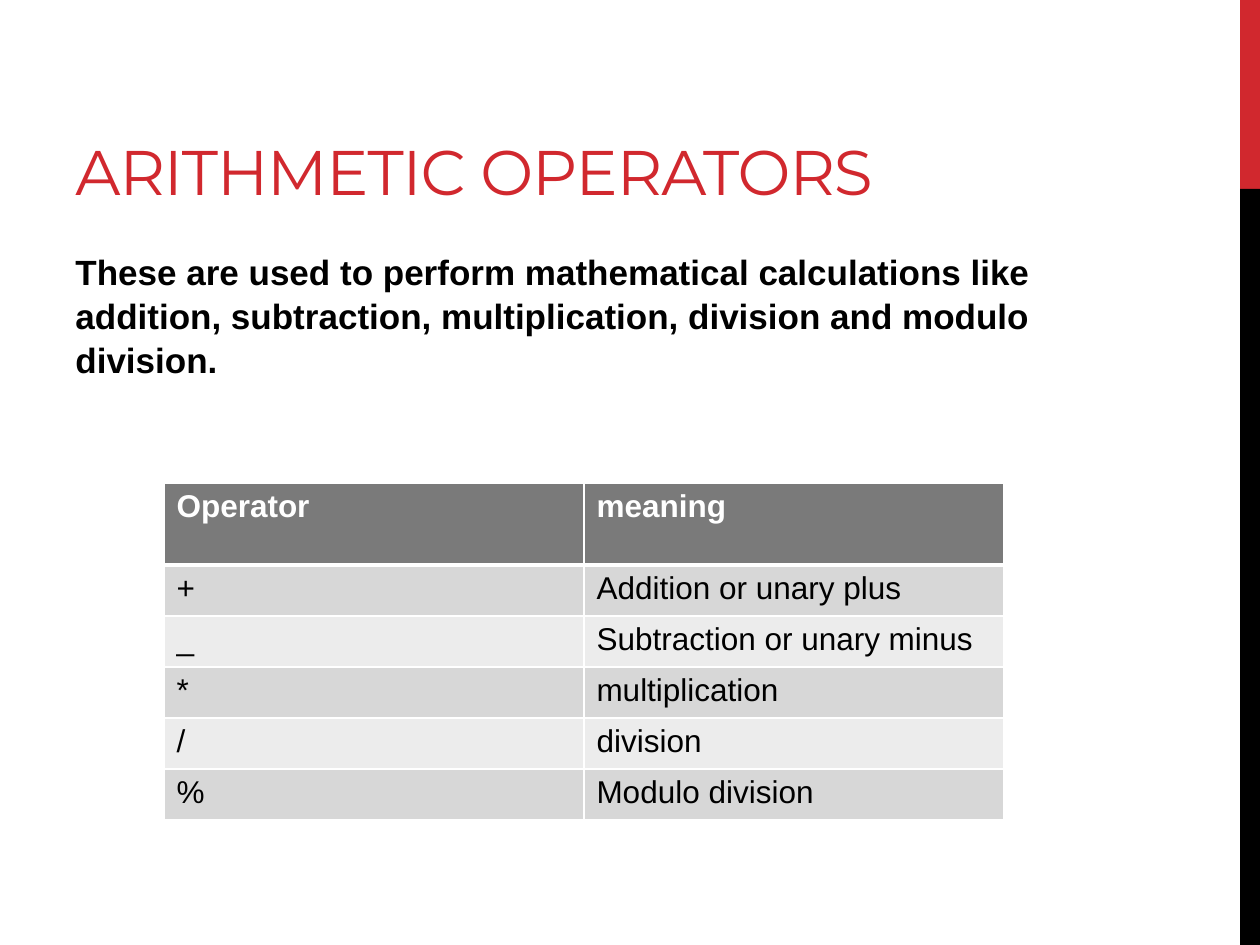
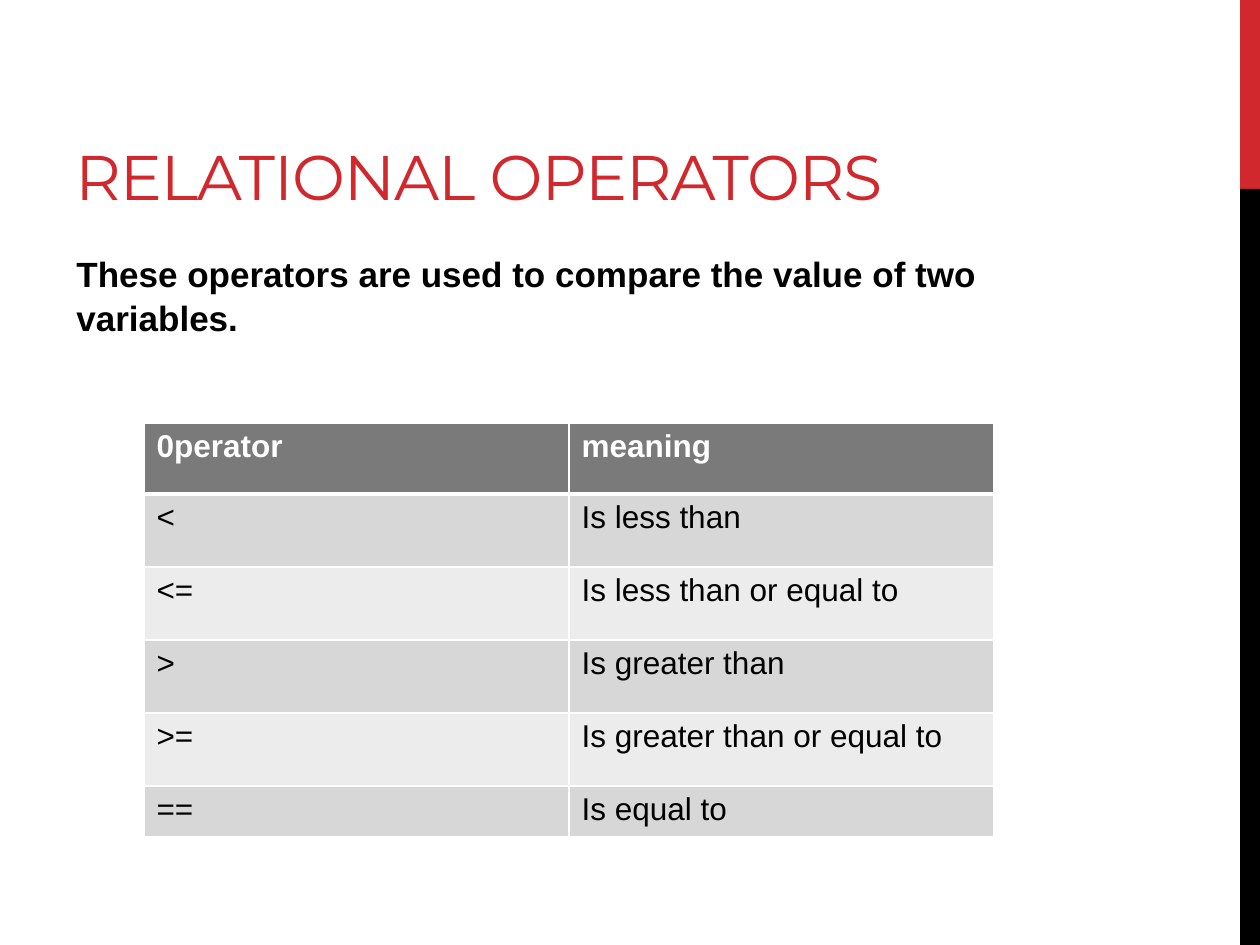
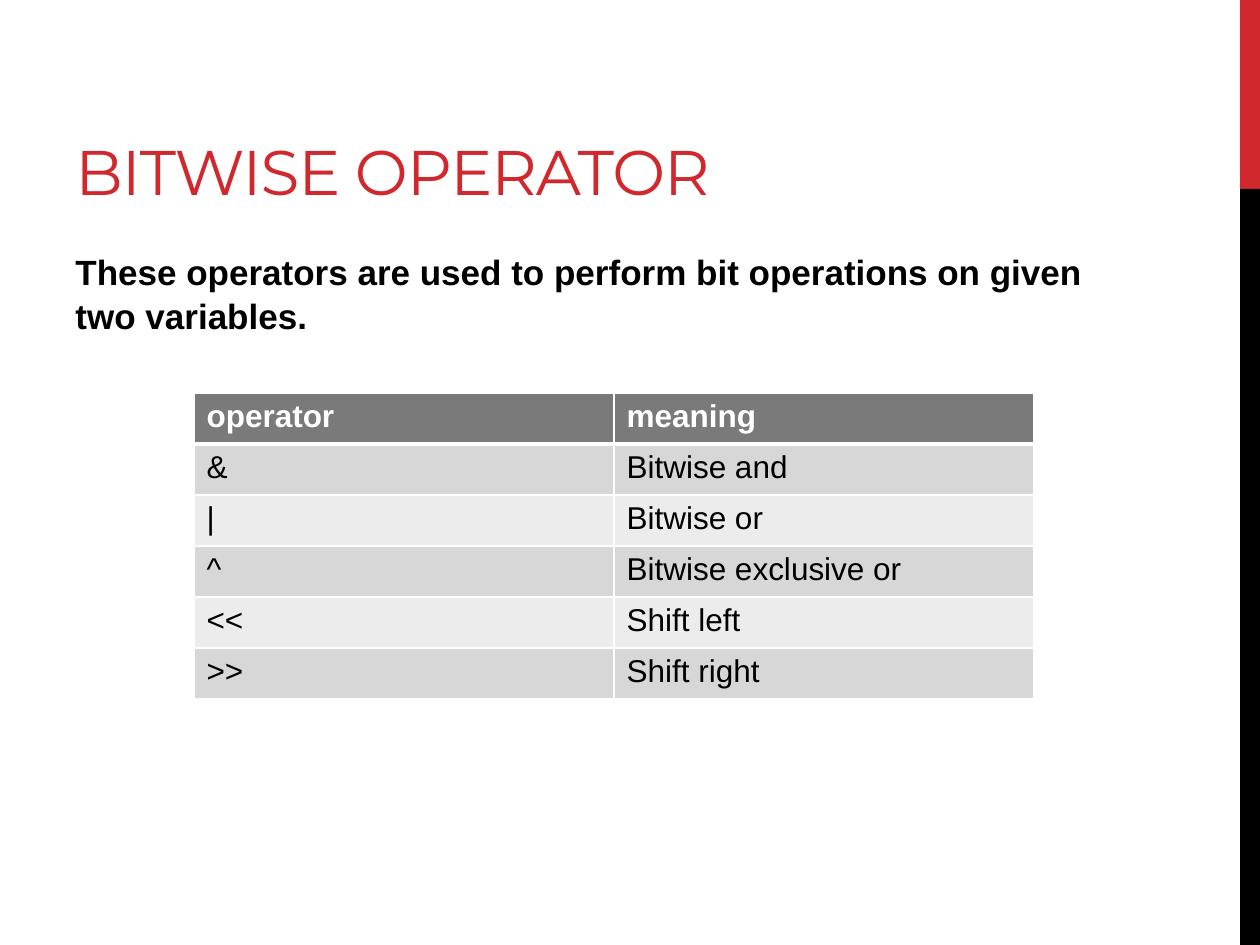
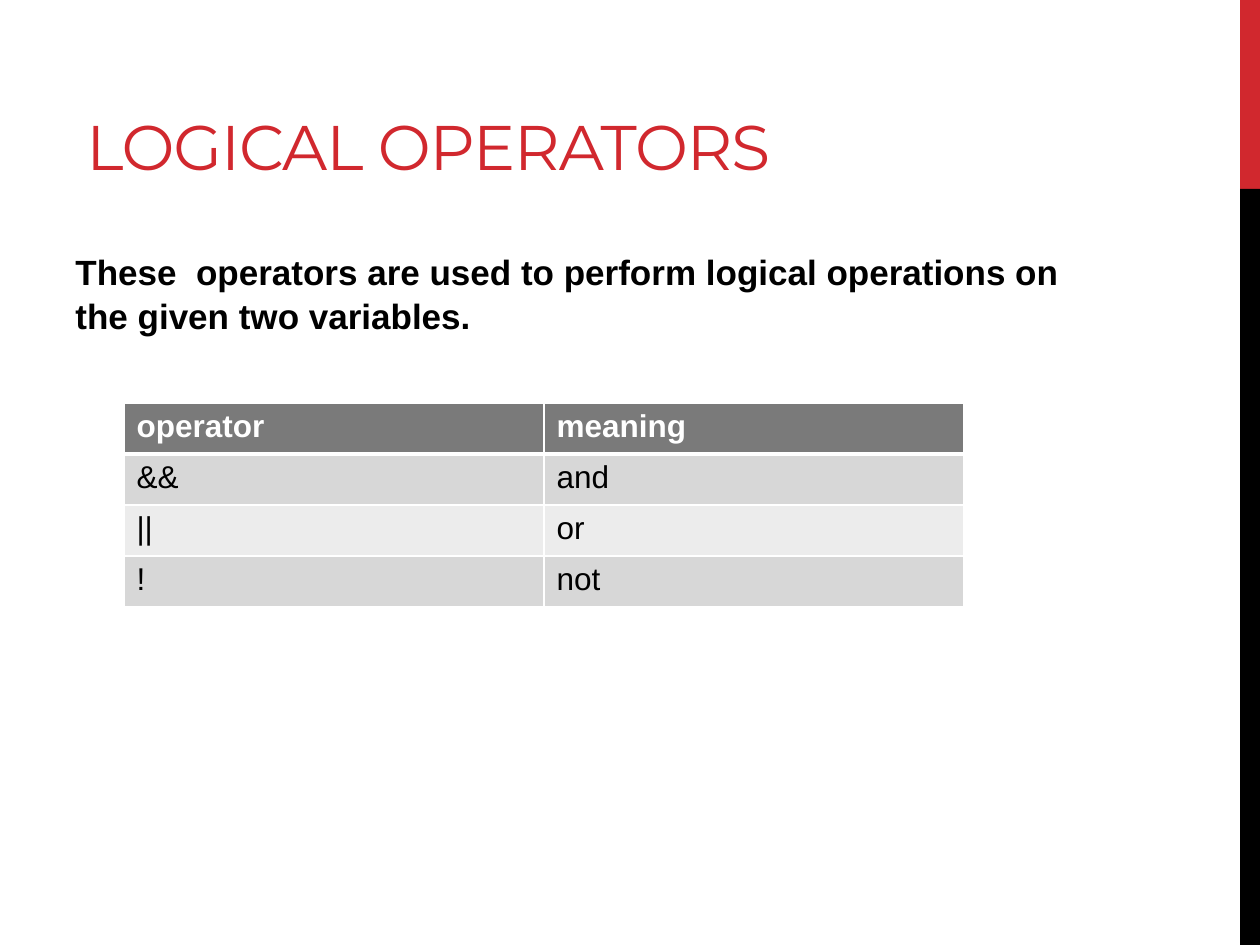
from pptx import Presentation
from pptx import util as u
from pptx.dml.color import RGBColor
from pptx.enum import shapes, text
from pptx.oxml import parse_xml
from pptx.oxml.ns import nsdecls

RED = RGBColor(0xD1, 0x28, 0x2E)
BLACK = RGBColor(0x00, 0x00, 0x00)
WHITE = RGBColor(0xFF, 0xFF, 0xFF)
HEADER_GRAY = RGBColor(0x7A, 0x7A, 0x7A)
ODD_GRAY = RGBColor(0xD7, 0xD7, 0xD7)
EVEN_GRAY = RGBColor(0xEC, 0xEC, 0xEC)

PX_PER_INCH = 126
SLIDE_W, SLIDE_H = 1260, 945
BAND_X, BAND_SPLIT = 1240, 189
ROW_H = 51


def px(*lengths):
    return [u.Emu(round(n * 914400 / PX_PER_INCH)) for n in lengths]


class Deck:
    title_font = "Montserrat"
    body_font = "Arial"

    def __init__(self):
        self.prs = Presentation()
        self.prs.slide_width, self.prs.slide_height = px(SLIDE_W, SLIDE_H)
        self.slide = None

    def new_slide(self):
        self.slide = self.prs.slides.add_slide(self.prs.slide_layouts[6])
        self.band(0, BAND_SPLIT, RED)
        self.band(BAND_SPLIT, SLIDE_H, BLACK)

    def band(self, top, bottom, color):
        band = self.slide.shapes.add_shape(
            shapes.MSO_SHAPE.RECTANGLE,
            *px(BAND_X, top, SLIDE_W - BAND_X, bottom - top))
        band.shadow.inherit = False
        band.fill.solid()
        band.fill.fore_color.rgb = color
        band.line.fill.background()

    def run(self, paragraph, words, size, color, font=body_font, bold=False):
        run = paragraph.add_run()
        run.text = words
        run.font.size = u.Pt(size)
        run.font.name = font
        run.font.bold = bold
        run.font.color.rgb = color
        return run

    def frame(self, box):
        frame = self.slide.shapes.add_textbox(*px(*box)).text_frame
        frame.word_wrap = True
        return frame

    def title(self, box, words):
        frame = self.frame(box)
        frame.vertical_anchor = text.MSO_ANCHOR.BOTTOM
        frame.margin_bottom, = px(2)
        heading = self.run(frame.paragraphs[0], words, 36, RED, self.title_font)
        heading.font._element.set("spc", "-60")

    def body(self, box, words):
        paragraph = self.frame(box).paragraphs[0]
        paragraph.space_before = u.Pt(4)
        paragraph.space_after = u.Pt(6)
        paragraph.line_spacing = 1.05
        self.run(paragraph, words, 20, BLACK, bold=True)

    def border(self, cell, side, points):
        cell._tc.get_or_add_tcPr().append(parse_xml(
            f'<a:{side} {nsdecls("a")} w="{u.Pt(points)}"><a:solidFill>'
            f'<a:srgbClr val="{WHITE}"/></a:solidFill></a:{side}>'))

    def cell(self, cell, words, row):
        header = row == 0
        for side in ("lnL", "lnR", "lnT", "lnB"):
            thick = (header and side == "lnB") or (row == 1 and side == "lnT")
            self.border(cell, side, 3 if thick else 1)
        cell.fill.solid()
        cell.fill.fore_color.rgb = (
            HEADER_GRAY if header else ODD_GRAY if row % 2 else EVEN_GRAY)
        self.run(cell.text_frame.paragraphs[0], words, 18,
                 WHITE if header else BLACK, bold=header)

    def table(self, left, top, width, entries, heights):
        table = self.slide.shapes.add_table(
            len(entries), 2, *px(left, top, width, sum(heights))).table
        for column in table.columns:
            column.width, = px(width // 2)
        for r, (entry, height) in enumerate(zip(entries, heights)):
            table.rows[r].height, = px(height)
            for c, words in enumerate(entry):
                self.cell(table.cell(r, c), words, r)


def main():
    deck = Deck()
    body_box = (63, 242, 1050, 602)
    operator_slides = [
        ("ARITHMETIC OPERATORS", (63, 21, 1053, 189),
         "These are used to perform mathematical calculations like addition, "
         "subtraction, multiplication, division and modulo division.", body_box,
         (164, 483, 840),
         [("Operator", "meaning"), ("+", "Addition or unary plus"),
          ("_", "Subtraction or unary minus"), ("*", "multiplication"),
          ("/", "division"), ("%", "Modulo division")],
         [82] + [ROW_H] * 5),
        ("RELATIONAL OPERATORS", (63, 21, 954, 194),
         "These operators are used to compare the value of two variables.",
         (64, 244, 1050, 602),
         (144, 423, 850),
         [("0perator", "meaning"), ("<", "Is less than"),
          ("<=", "Is less than or equal to"), (">", "Is greater than"),
          (">=", "Is greater than or equal to"), ("==", "Is equal to")],
         [71] + [73] * 4 + [47]),
        ("BITWISE OPERATOR", (63, 21, 798, 189),
         "These operators are used to perform bit operations on given "
         "two variables.", body_box,
         (194, 393, 840),
         [("operator", "meaning"), ("&", "Bitwise and"), ("|", "Bitwise or"),
          ("^", "Bitwise exclusive or"), ("<<", "Shift left"),
          (">>", "Shift right")],
         [ROW_H] * 6),
        ("LOGICAL OPERATORS", (74, -4, 1053, 189),
         "These  operators are used to perform logical operations on "
         "the given two variables.", body_box,
         (124, 403, 840),
         [("operator", "meaning"), ("&&", "and"), ("||", "or"), ("!", "not")],
         [ROW_H] * 4),
    ]
    for name, title_box, purpose, purpose_box, place, entries, heights in operator_slides:
        deck.new_slide()
        deck.title(title_box, name)
        deck.body(purpose_box, purpose)
        deck.table(*place, entries, heights)
    deck.prs.save("out.pptx")


if __name__ == "__main__":
    main()
